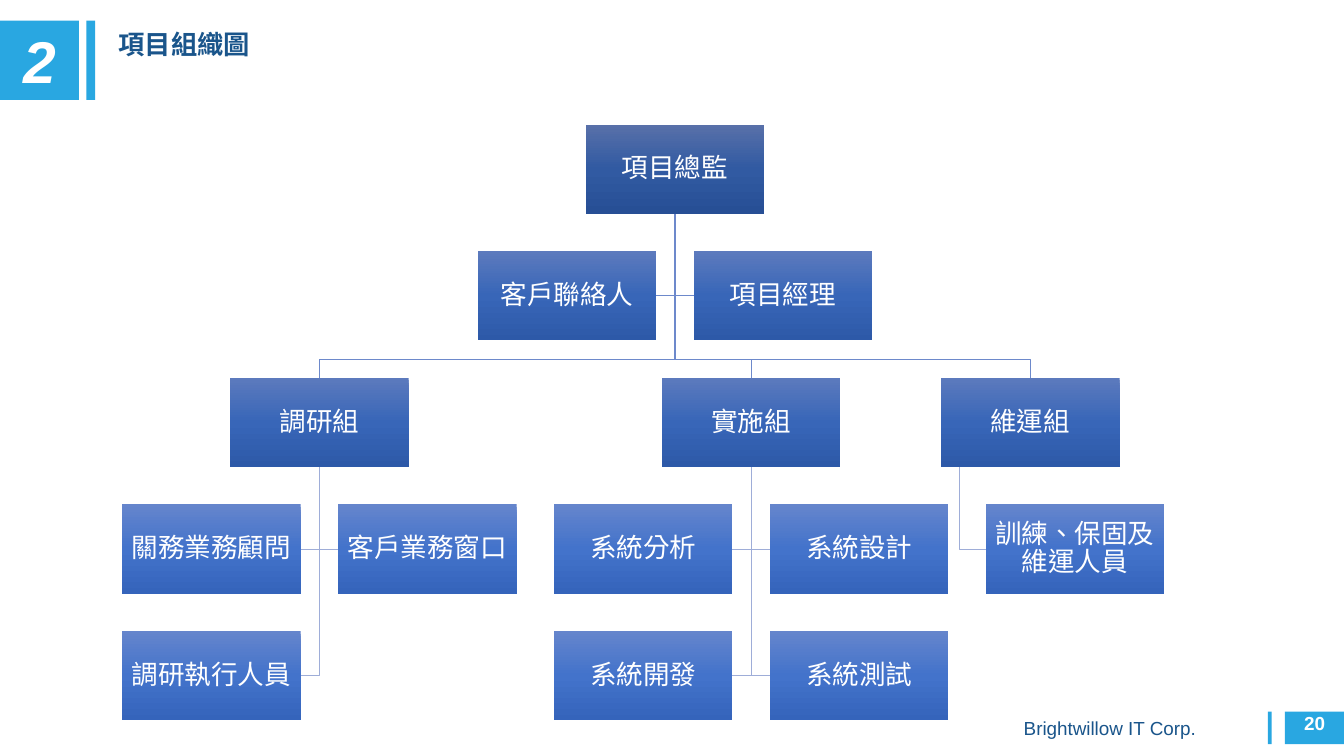
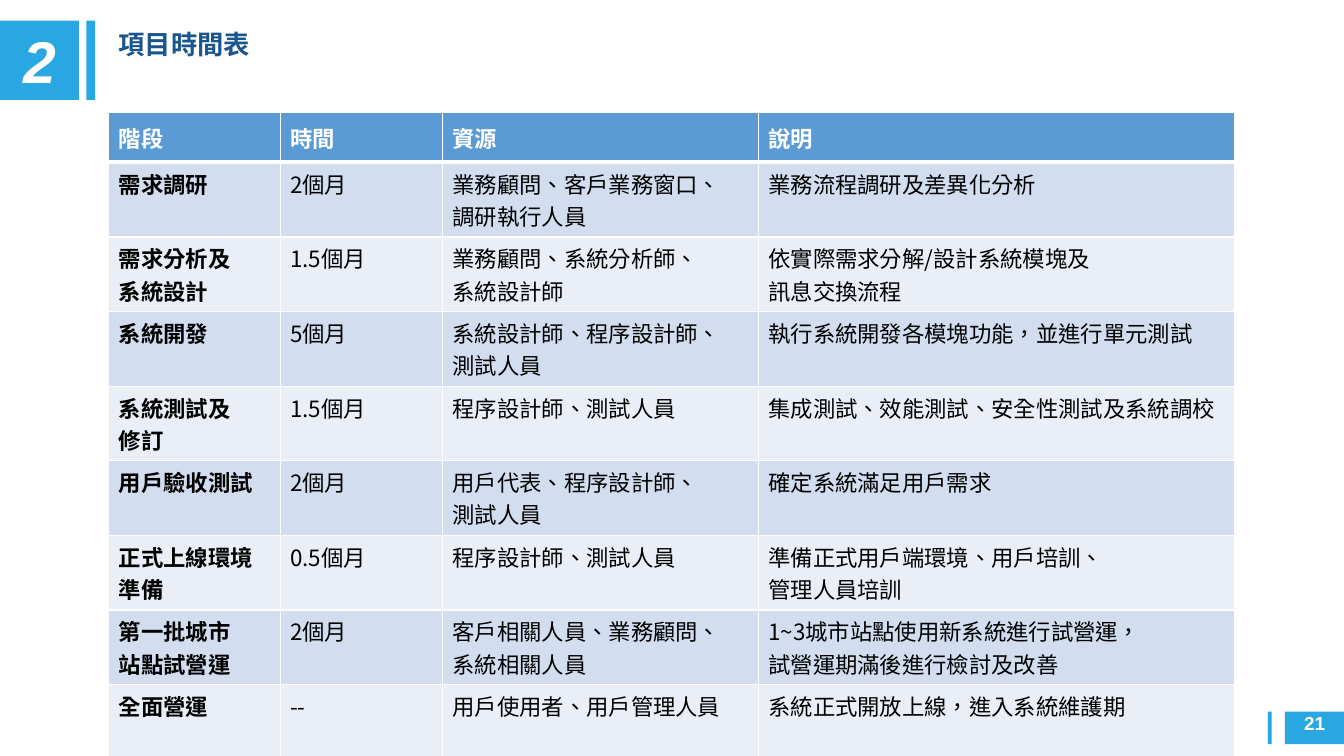
from copy import deepcopy

from pptx import Presentation
from pptx.dml.color import RGBColor
from pptx.enum.shapes import MSO_SHAPE
from pptx.enum.text import MSO_ANCHOR, PP_ALIGN
from pptx.oxml import parse_xml
from pptx.oxml.ns import nsdecls, qn
from pptx.util import Cm, Pt

LATIN, CJK = "Arial", "Noto Sans CJK SC"
ACCENT, NAVY, WHITE, BLACK = "29A7E1", "1A558B", "FFFFFF", "000000"
HEADER_FILL, BAND_FILLS = "5B9BD5", ("D2DEEF", "EAEFF7")
DIRECTOR_FILL = ("5870A9", "315AA2", "274F95")
LEAD_FILL = ("5C7ABD", "3866B8", "2D59A8")
MEMBER_FILL = ("6585CC", "4373CB", "3564BB")
LEAD_LINE, MEMBER_LINE = "6D89CB", "9EADD8"

SECTION = "2"
COMPANY = "Brightwillow IT Corp."

CHART_TITLE = "項目組織圖"
DIRECTOR = "項目總監"
ASSISTANTS = ["客戶聯絡人", "項目經理"]
# Group name, first column of its members, members
GROUPS = [
    ("調研組", 0, ["關務業務顧問", "客戶業務窗口", "調研執行人員"]),
    ("實施組", 2, ["系統分析", "系統設計", "系統開發", "系統測試"]),
    ("維運組", 4, ["訓練、保固及維運人員"]),
]

SCHEDULE_TITLE = "項目時間表"
SCHEDULE = [
    ("階段", "時間", "資源", "說明"),
    ("需求調研", "2個月", "業務顧問、客戶業務窗口、\n調研執行人員", "業務流程調研及差異化分析"),
    ("需求分析及\n系統設計", "1.5個月", "業務顧問、系統分析師、\n系統設計師",
     "依實際需求分解/設計系統模塊及\n訊息交換流程"),
    ("系統開發", "5個月", "系統設計師、程序設計師、\n測試人員",
     "執行系統開發各模塊功能，並進行單元測試"),
    ("系統測試及\n修訂", "1.5個月", "程序設計師、測試人員",
     "集成測試、效能測試、安全性測試及系統調校"),
    ("用戶驗收測試", "2個月", "用戶代表、程序設計師、\n測試人員", "確定系統滿足用戶需求"),
    ("正式上線環境準備", "0.5個月", "程序設計師、測試人員",
     "準備正式用戶端環境、用戶培訓、\n管理人員培訓"),
    ("第一批城市\n站點試營運", "2個月", "客戶相關人員、業務顧問、\n系統相關人員",
     "1~3城市站點使用新系統進行試營運，\n試營運期滿後進行檢討及改善"),
    ("全面營運", "--", "用戶使用者、用戶管理人員", "系統正式開放上線，進入系統維護期"),
]
COLUMN_WIDTHS = (4.32, 4.09, 7.96, 12)
HEADER_HEIGHT, ROW_HEIGHT = 1.26, 1.88

# Organisation grid, in centimetres
BOX_WIDTH, BOX_HEIGHT = 4.5, 2.25
GRID_LEFT, GRID_TOP = 3.08, 3.14
COLUMN_STEP, ROW_STEP = 5.44, 3.19


def color(hex_text):
    return RGBColor.from_string(hex_text)


def write(frame, text, size, ink, font=CJK, bold=False, italic=False,
          align=PP_ALIGN.LEFT, anchor=MSO_ANCHOR.TOP, spacing=None, before=None):
    frame.word_wrap = True
    frame.vertical_anchor = anchor
    para = frame.paragraphs[0]
    para.text = text
    para.alignment = align
    para.line_spacing = spacing
    para.space_before = before
    for span in para.runs:
        span.font.size = Pt(size)
        span.font.name = font
        span.font.bold = bold
        span.font.italic = italic
        span.font.color.rgb = color(ink)
        properties = span.font._element
        properties.set("lang", "zh-TW" if font == CJK else "en-US")
        properties.append(parse_xml(f'<a:ea {nsdecls("a")} typeface="{font}"/>'))
    for line_break in para._p.findall(qn("a:br")):
        line_break.append(deepcopy(properties))


def add_text(page, left, top, width, height, text, **style):
    box = page.shapes.add_textbox(Cm(left), Cm(top), Cm(width), Cm(height))
    write(box.text_frame, text, **style)


def add_box(page, left, top, width, height, fill):
    """Add a borderless rectangle; fill is one colour or three gradient stops."""
    box = page.shapes.add_shape(MSO_SHAPE.RECTANGLE, Cm(left), Cm(top), Cm(width), Cm(height))
    box.shadow.inherit = False
    box.line.fill.background()
    if isinstance(fill, str):
        box.fill.solid()
        box.fill.fore_color.rgb = color(fill)
    else:
        stops = "".join(f'<a:gs pos="{index * 50000}"><a:srgbClr val="{stop}"/></a:gs>'
                        for index, stop in enumerate(fill))
        gradient = parse_xml(f'<a:gradFill {nsdecls("a")} rotWithShape="1"><a:gsLst>{stops}'
                             '</a:gsLst><a:lin ang="5400000" scaled="0"/></a:gradFill>')
        box._element.spPr.find(qn("a:prstGeom")).addnext(gradient)
    return box


def add_branch(page, ink, *points):
    """Draw an open, angled line through points given in centimetres."""
    start, *others = [(Cm(x), Cm(y)) for x, y in points]
    builder = page.shapes.build_freeform(*start)
    builder.add_line_segments(others, close=False)
    branch = builder.convert_to_shape()
    branch.shadow.inherit = False
    branch.fill.background()
    branch.line.color.rgb = color(ink)
    branch.line.width = Pt(0.5)


def add_page(deck, title, number, footer=None):
    page = deck.slides.add_slide(deck.slide_layouts[6])
    for left, top, width, height in ((32.38, 17.93, 1.49, 0.82), (31.95, 17.93, 0.1, 0.82),
                                     (2.18, 0.52, 0.22, 2)):
        add_box(page, left, top, width, height, ACCENT)
    badge = add_box(page, 0, 0.52, 1.99, 2, ACCENT)
    write(badge.text_frame, SECTION, size=42, ink=WHITE, font=LATIN, bold=True, italic=True,
          align=PP_ALIGN.CENTER, anchor=MSO_ANCHOR.MIDDLE)
    add_text(page, 31.44, 17.81, 3.38, 0.84, number, size=13.5, ink=WHITE, font=LATIN,
             bold=True, align=PP_ALIGN.CENTER)
    if footer:
        add_text(page, 25.55, 17.92, 6.65, 0.84, footer, size=13.5, ink=NAVY, font=LATIN,
                 anchor=MSO_ANCHOR.MIDDLE)
    add_text(page, 2.74, 0.51, 21.97, 1.3, title, size=18.8, ink=NAVY, bold=True,
             anchor=MSO_ANCHOR.MIDDLE, spacing=0.9, before=Pt(7.5))
    return page


def column_left(column):
    return GRID_LEFT + column * COLUMN_STEP


def row_top(row):
    return GRID_TOP + row * ROW_STEP


def add_role(page, left, row, name, fill):
    box = add_box(page, left, row_top(row), BOX_WIDTH, BOX_HEIGHT, fill)
    frame = box.text_frame
    frame.margin_left = frame.margin_right = frame.margin_top = frame.margin_bottom = Cm(0.03)
    write(frame, name, size=19, ink=WHITE, align=PP_ALIGN.CENTER,
          anchor=MSO_ANCHOR.MIDDLE, spacing=0.9)


def add_pairs(page, names, first_left, first_row, trunk, fill, ink):
    """Hang names in pairs, left and right of the trunk; a lone name goes right."""
    trunk_top = row_top(first_row - 1 if fill == MEMBER_FILL else 0) + BOX_HEIGHT
    for index, name in enumerate(names):
        pair, side = divmod(index, 2)
        row = first_row + pair
        left = first_left + side * COLUMN_STEP
        middle = row_top(row) + BOX_HEIGHT / 2
        edge = left + BOX_WIDTH if left < trunk else left
        add_branch(page, ink, (trunk, trunk_top), (trunk, middle), (edge, middle))
        add_role(page, left, row, name, fill)


def add_organisation(page):
    lefts = [column_left(column + 0.5) if len(members) > 1
             else column_left(column) - BOX_WIDTH / 4 for _, column, members in GROUPS]
    bus = row_top(2) - (ROW_STEP - BOX_HEIGHT) / 2
    director_left = (lefts[0] + lefts[-1]) / 2
    trunk = director_left + BOX_WIDTH / 2
    add_role(page, director_left, 0, DIRECTOR, DIRECTOR_FILL)
    add_pairs(page, ASSISTANTS, director_left - COLUMN_STEP / 2, 1, trunk, LEAD_FILL, LEAD_LINE)
    for left, (name, column, members) in zip(lefts, GROUPS):
        center = left + BOX_WIDTH / 2
        add_branch(page, LEAD_LINE, (trunk, row_top(0) + BOX_HEIGHT), (trunk, bus),
                   (center, bus), (center, row_top(2)))
        add_role(page, left, 2, name, LEAD_FILL)
        member_trunk = center if len(members) > 1 else left + BOX_WIDTH / 10
        add_pairs(page, members, column_left(column), 3, member_trunk, MEMBER_FILL, MEMBER_LINE)


def add_borders(cell, **widths):
    """Draw white borders; widths maps L, R, T and B to points."""
    properties = cell._tc.get_or_add_tcPr()
    for side, width in widths.items():
        properties.append(parse_xml(
            f'<a:ln{side} {nsdecls("a")} w="{Pt(width)}"><a:solidFill>'
            f'<a:srgbClr val="{WHITE}"/></a:solidFill></a:ln{side}>'))


def add_schedule(page):
    height = HEADER_HEIGHT + ROW_HEIGHT * (len(SCHEDULE) - 1)
    table = page.shapes.add_table(len(SCHEDULE), len(COLUMN_WIDTHS), Cm(2.74), Cm(2.83),
                                  Cm(sum(COLUMN_WIDTHS)), Cm(height)).table
    table.horz_banding = False
    for column, width in zip(table.columns, COLUMN_WIDTHS):
        column.width = Cm(width)
    for row, texts in enumerate(SCHEDULE):
        header = row == 0
        table.rows[row].height = Cm(HEADER_HEIGHT if header else ROW_HEIGHT)
        for column, text in enumerate(texts):
            cell = table.cell(row, column)
            add_borders(cell, L=1, R=1, T=3 if row == 1 else 1, B=3 if header else 1)
            cell.fill.solid()
            cell.fill.fore_color.rgb = color(HEADER_FILL if header else BAND_FILLS[(row - 1) % 2])
            write(cell.text_frame, text, size=16, ink=WHITE if header else BLACK,
                  bold=header or column == 0)
            cell.vertical_anchor = MSO_ANCHOR.MIDDLE if header else MSO_ANCHOR.TOP


def main():
    deck = Presentation()
    deck.slide_width, deck.slide_height = Cm(33.87), Cm(19.05)
    add_organisation(add_page(deck, CHART_TITLE, "20", footer=COMPANY))
    add_schedule(add_page(deck, SCHEDULE_TITLE, "21"))
    deck.save("out.pptx")


if __name__ == "__main__":
    main()
